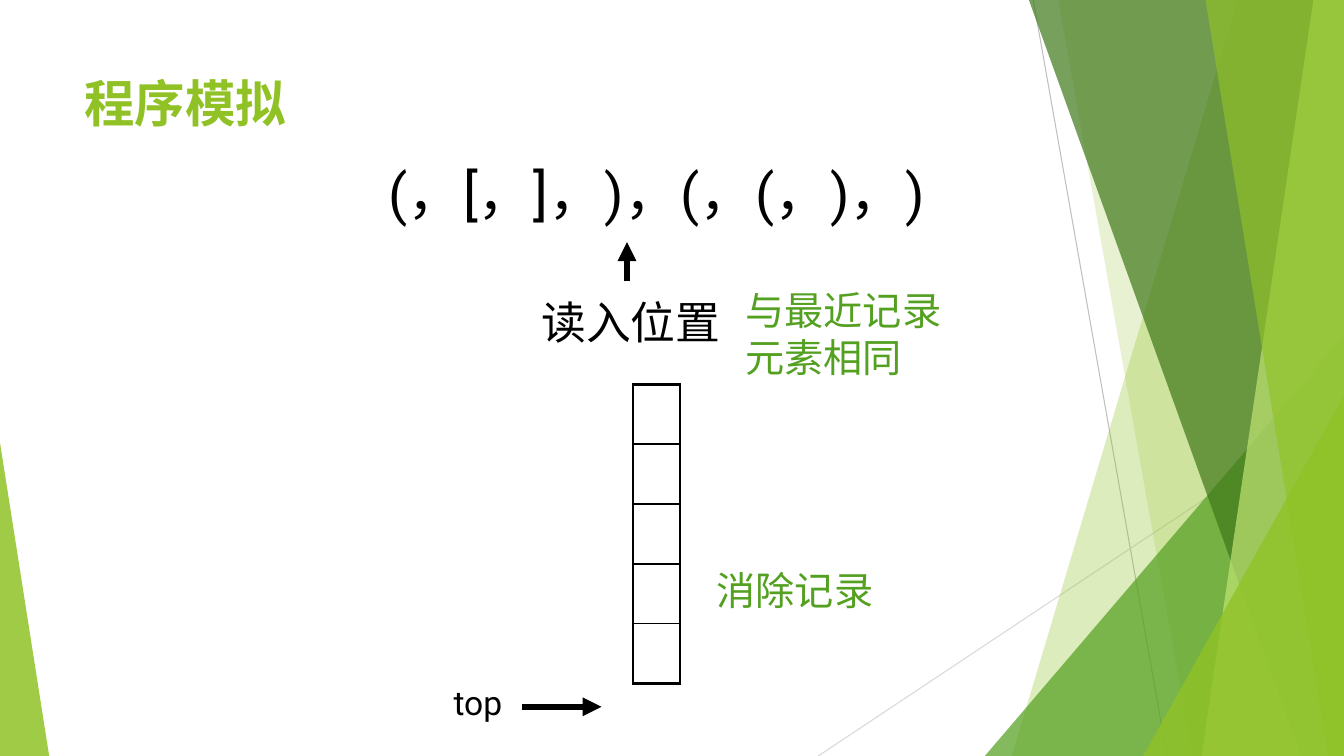
from dataclasses import dataclass

from lxml import etree
from pptx import Presentation
from pptx import util as u
from pptx.dml.color import RGBColor
from pptx.enum import shapes, text
from pptx.oxml import ns

Cm = u.Cm
W, H = 33.87, 19.05


@dataclass(frozen=True)
class Theme:
    font: str = "Roboto"
    lime: str = "90C226"
    green: str = "54A021"
    dark: str = "3F7819"
    pale: str = "C0E474"
    black: str = "000000"
    grey: str = "BFBFBF"
    light_grey: str = "D9D9D9"
    title: int = 36
    sequence: int = 40
    label: int = 32
    note: int = 28
    small: int = 24
    hairline: float = 0.75
    inner: float = 1
    frame: float = 2.25
    arrow: float = 4.5


T = Theme()


def add_xml(parent, tag, **attrs):
    return etree.SubElement(parent, ns.qn(tag), attrs)


def paint(s, color, opacity):
    s.shadow.inherit = False
    s.fill.solid()
    s.fill.fore_color.rgb = RGBColor.from_string(color)
    s.line.fill.background()
    clr = s._element.spPr.find(".//" + ns.qn("a:srgbClr"))
    add_xml(clr, "a:alpha", val=str(opacity * 1000))


def add_band(slide, top_x, bottom_x, color, opacity):
    """Fill from a slanted edge to the right side of the slide."""
    fb = slide.shapes.build_freeform(Cm(top_x), 0)
    fb.add_line_segments([(Cm(W), 0), (Cm(W), Cm(H)), (Cm(bottom_x), Cm(H))])
    paint(fb.convert_to_shape(), color, opacity)


def add_triangle(slide, box, apex, color, opacity):
    s = slide.shapes.add_shape(shapes.MSO_SHAPE.ISOSCELES_TRIANGLE, *map(Cm, box))
    s.adjustments[0] = apex
    paint(s, color, opacity)


def add_line(slide, ends, color, width, arrow=False):
    s = slide.shapes.add_connector(shapes.MSO_CONNECTOR.STRAIGHT, *map(Cm, ends))
    s.line.color.rgb = RGBColor.from_string(color)
    s.line.width = u.Pt(width)
    if arrow:
        add_xml(s.line._get_or_add_ln(), "a:tailEnd", type="triangle")
    add_xml(s._element.spPr, "a:effectLst")


def add_text(slide, box, words, size, color, bold=False):
    tf = slide.shapes.add_textbox(*map(Cm, box)).text_frame
    tf.word_wrap = True
    tf.vertical_anchor = text.MSO_ANCHOR.TOP
    r = tf.paragraphs[0].add_run()
    r.text = words
    for name, value in dict(name=T.font, size=u.Pt(size), bold=bold).items():
        setattr(r.font, name, value)
    r.font.color.rgb = RGBColor.from_string(color)
    add_xml(r._r.get_or_add_rPr(), "a:ea", typeface=T.font)


def add_stack(slide, left, top, width, row_height, count):
    """One-column table with a heavy frame and thin inner rules."""
    table = slide.shapes.add_table(
        count, 1, Cm(left), Cm(top), Cm(width), Cm(row_height * count)).table
    table.first_row = table.horz_banding = False
    for i in range(count):
        cell = table.cell(i, 0)
        tc_pr = cell._tc.get_or_add_tcPr()
        edges = dict(L=T.frame, R=T.frame,
                     T=T.frame if i == 0 else T.inner,
                     B=T.frame if i == count - 1 else T.inner)
        for side, width_pt in edges.items():
            ln = add_xml(tc_pr, f"a:ln{side}", w=str(int(u.Pt(width_pt))))
            add_xml(add_xml(ln, "a:solidFill"), "a:srgbClr", val=T.black)
        cell.fill.background()


def add_backdrop(slide):
    add_line(slide, (26.04, 0, 29.41, H), T.grey, T.hairline)
    add_line(slide, (W, 10.24, 20.62, H), T.light_grey, T.hairline)
    add_band(slide, 31.19, 25.5, T.lime, 30)
    add_band(slide, 26.67, 30.05, T.lime, 20)
    add_triangle(slide, (24.82, 8.46, 9.05, 10.59), 1, T.green, 72)
    add_band(slide, 25.93, 32.79, T.dark, 70)
    add_band(slide, 33.1, 30.28, T.pale, 70)
    add_band(slide, 30.38, 33.48, T.lime, 65)
    add_triangle(slide, (28.81, 9.98, 5.06, 9.07), 1, T.lime, 80)
    add_triangle(slide, (0, 11.15, 1.24, 7.9), 0, T.lime, 85)


def main():
    prs = Presentation()
    prs.slide_width, prs.slide_height = Cm(W), Cm(H)
    slide = prs.slides.add_slide(prs.slide_layouts[6])
    add_backdrop(slide)

    # Title and stack
    add_text(slide, (1.88, 1.7, 23.88, 3.66), "程序模拟", T.title, T.lime, bold=True)
    add_stack(slide, 15.95, 9.68, 1.19, 1.51, 5)

    # Bracket sequence and reading position
    add_text(slide, (9.53, 3.86, 16.56, 1.96), "(，[，]，)，(，(，)，)",
             T.sequence, T.black)
    add_line(slide, (15.8, 7.09, 15.8, 6.1), T.black, T.arrow, arrow=True)
    add_text(slide, (13.39, 7.29, 5.16, 3), "读入位置", T.label, T.black)

    # Stack pointer
    add_text(slide, (11.18, 17.07, 2.39, 1.3), "top", T.small, T.black)
    add_line(slide, (13.16, 17.81, 15.16, 17.81), T.black, T.arrow, arrow=True)

    # Notes
    add_text(slide, (18.54, 7.09, 6.1, 2.64), "与最近记录元素相同", T.note, T.green)
    add_text(slide, (17.81, 14.15, 5.13, 1.45), "消除记录", T.note, T.green)

    prs.save("out.pptx")


if __name__ == "__main__":
    main()
